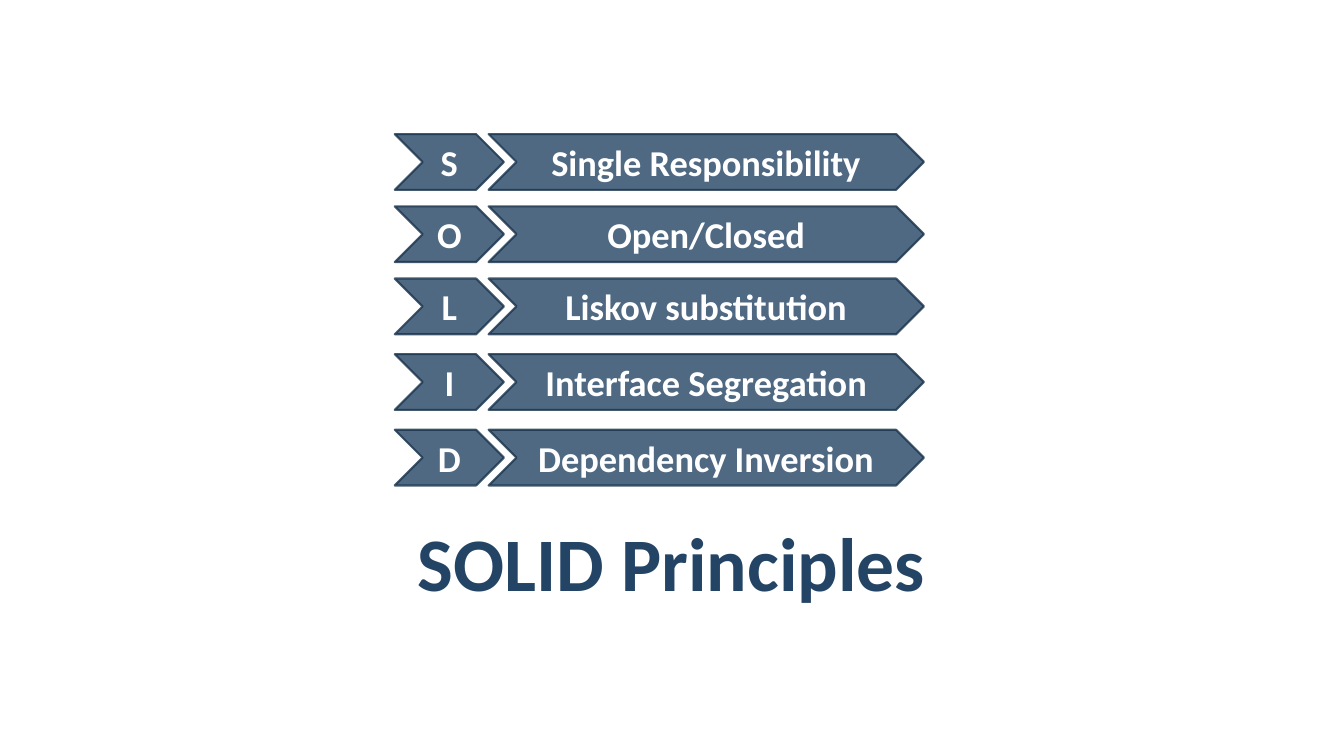
from lxml import etree
from pptx import Presentation
from pptx.dml.color import RGBColor
from pptx.enum.shapes import MSO_SHAPE
from pptx.enum.text import MSO_ANCHOR, PP_ALIGN
from pptx.oxml.ns import qn
from pptx.util import Pt

CHEVRON = MSO_SHAPE.CHEVRON
MIDDLE = MSO_ANCHOR.MIDDLE
CENTER = PP_ALIGN.CENTER

NAVY = RGBColor(0x23, 0x44, 0x65)
DARK_NAVY = RGBColor(0x1A, 0x33, 0x4C)
WHITE = RGBColor(0xFF, 0xFF, 0xFF)

FONT = "Calibri"
OPACITY = 80
ROW_HEIGHT = 39.8
LETTER_LEFT, LETTER_WIDTH = 282, 78
NAME_LEFT, NAME_WIDTH = 349, 311
PRINCIPLES = [
    (95.8, "Single Responsibility"),
    (147.4, "Open/Closed"),
    (199, "Liskov substitution"),
    (253, "Interface Segregation"),
    (307, "Dependency Inversion"),
]


def write_text(frame, text, *, size, color):
    """Put one bold, centred paragraph in a text frame."""
    frame.word_wrap = True
    frame.vertical_anchor = MIDDLE
    paragraph = frame.paragraphs[0]
    paragraph.alignment = CENTER
    run = paragraph.add_run()
    run.text = text
    run.font.name = FONT
    run.font.size = Pt(size)
    run.font.bold = True
    run.font.color.rgb = color


def add_chevron(slide, left, top, width, text):
    """Add a translucent chevron holding its text."""
    chevron = slide.shapes.add_shape(
        CHEVRON, Pt(left), Pt(top), Pt(width), Pt(ROW_HEIGHT)
    )
    chevron.shadow.inherit = False
    chevron.fill.solid()
    chevron.fill.fore_color.rgb = NAVY
    chevron.line.color.rgb = DARK_NAVY
    chevron.line.width = Pt(1.5)
    for color in chevron.element.spPr.iter(qn("a:srgbClr")):
        etree.SubElement(color, qn("a:alpha"), val=str(OPACITY * 1000))
    write_text(chevron.text_frame, text, size=26, color=WHITE)


def add_title(slide, text):
    """Add the slide heading below the chevrons."""
    title = slide.shapes.add_textbox(Pt(48), Pt(371), Pt(863.5), Pt(60.5))
    write_text(title.text_frame, text, size=54, color=NAVY)


def main():
    """Build the slide and save it."""
    deck = Presentation()
    deck.slide_width, deck.slide_height = Pt(960), Pt(540)
    slide = deck.slides.add_slide(deck.slide_layouts[6])
    add_title(slide, "SOLID Principles")
    for top, principle in PRINCIPLES:
        add_chevron(slide, LETTER_LEFT, top, LETTER_WIDTH, principle[0])
        add_chevron(slide, NAME_LEFT, top, NAME_WIDTH, principle)
    deck.save("out.pptx")


if __name__ == "__main__":
    main()
